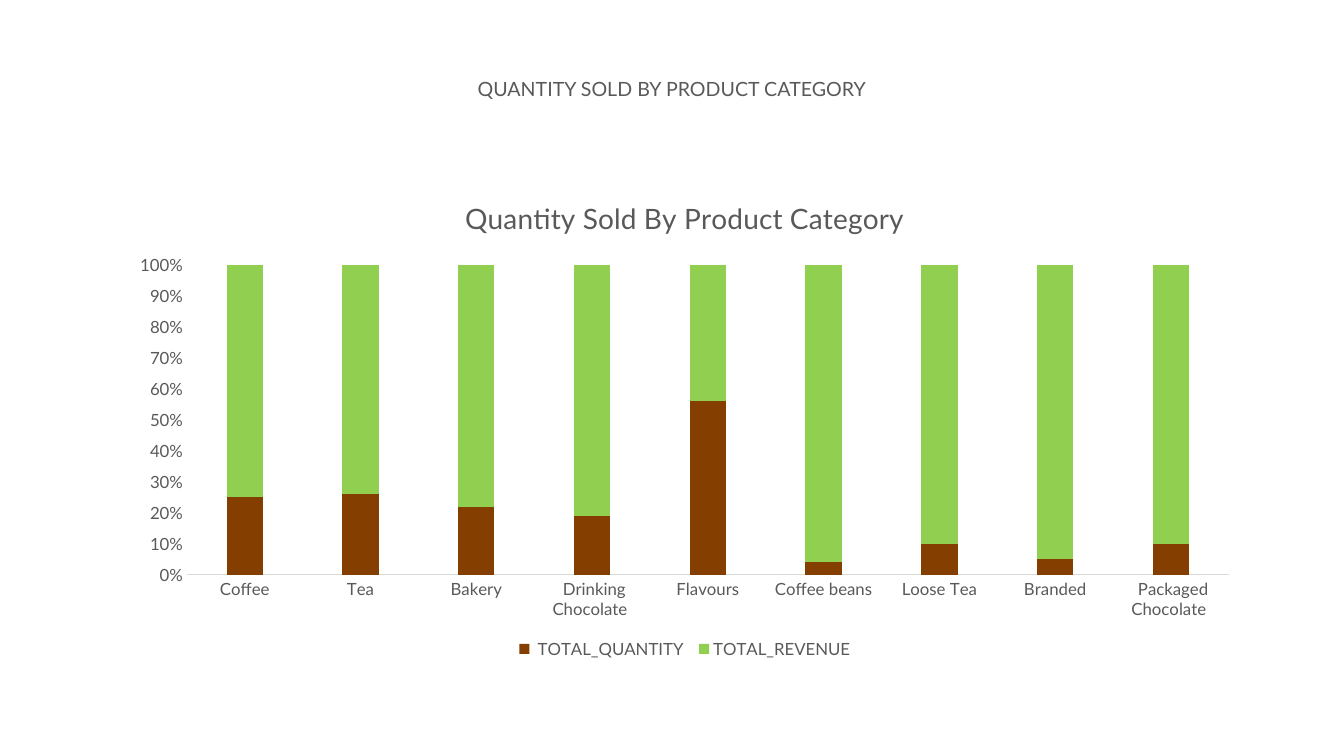
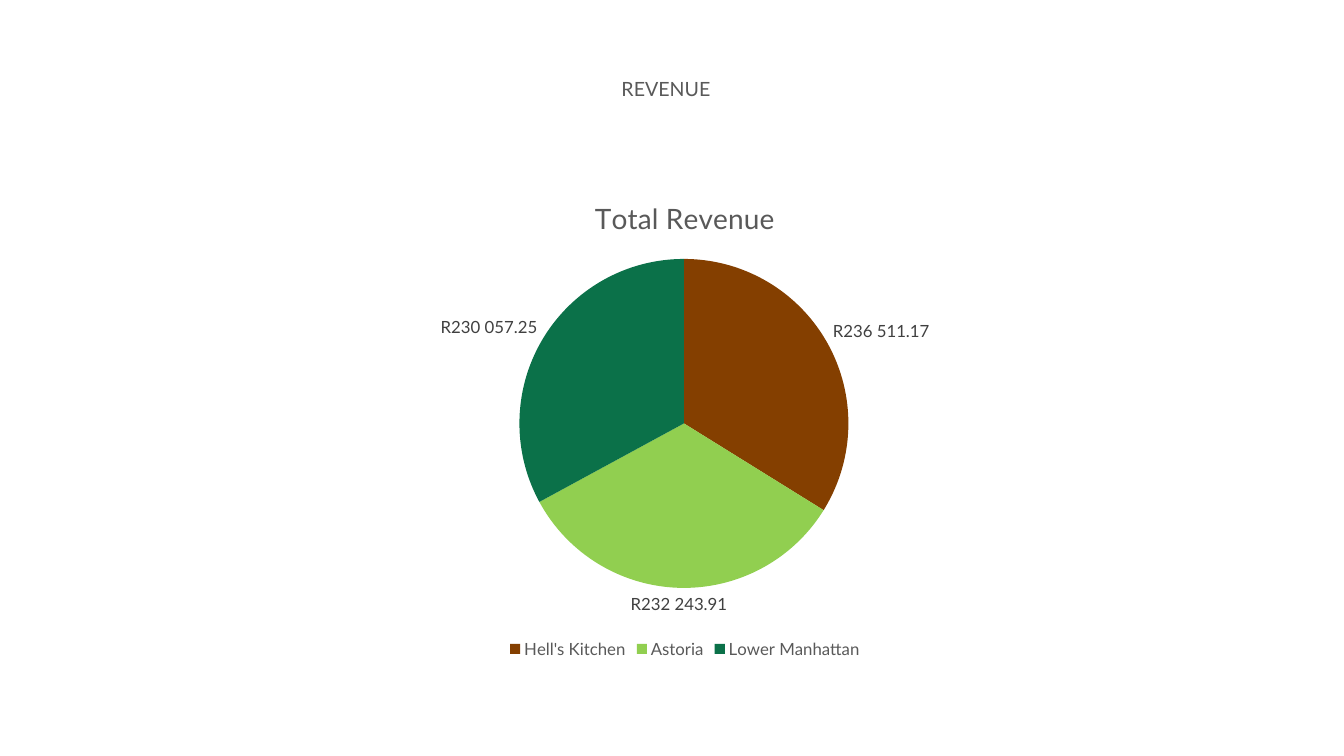
from dataclasses import dataclass

from lxml import etree
from pptx import Presentation
from pptx import util as u
from pptx.chart import data as chart_data
from pptx.dml.color import RGBColor
from pptx.enum import chart as ch
from pptx.enum import text
from pptx.oxml.ns import qn

EMU_PER_PX = 914400 / 100.8


@dataclass(frozen=True)
class Theme:
    font: str = "Lato"
    ink: str = "595959"
    label_ink: str = "404040"
    axis: str = "D9D9D9"
    series: tuple = ("843F00", "91CF50", "0B7149")
    heading_size: int = 14
    chart_title_size: int = 20
    body_size: int = 12


THEME = Theme()

# Shared frames in px: left, top, width, height
SLIDE_SIZE = (1344, 756)
HEADING_BOX = (105, 53, 1134, 71)
CHART_BOX = (118, 178, 1134, 485)
CHART_TITLE_TOP = 193


def px(length):
    return u.Emu(round(length * EMU_PER_PX))


def set_values(target, values):
    for name, value in values.items():
        setattr(target, name, value)


def style_font(font, size, color=THEME.ink):
    set_values(font, {"name": THEME.font, "size": u.Pt(size), "bold": False})
    font.color.rgb = RGBColor.from_string(color)


def fill_solid(part, color):
    part.format.fill.solid()
    part.format.fill.fore_color.rgb = RGBColor.from_string(color)


# Slide heading, moved sideways by shift px
def add_heading(slide, wording, shift):
    left, *rest = HEADING_BOX
    frame = slide.shapes.add_textbox(*map(px, (left + shift, *rest))).text_frame
    set_values(frame, {
        "word_wrap": True,
        "vertical_anchor": text.MSO_ANCHOR.MIDDLE,
        "margin_top": 0,
        "margin_bottom": 0,
    })
    heading = frame.paragraphs[0]
    heading.text = wording
    heading.alignment = text.PP_ALIGN.CENTER
    style_font(heading.font, THEME.heading_size)


# Manual position of a chart part, given in slide px
def place(parent, index, left, top, width=None, height=None):
    for old in parent.findall(qn("c:layout")):
        parent.remove(old)
    layout = etree.Element(qn("c:layout"))
    manual = etree.SubElement(layout, qn("c:manualLayout"))
    chart_left, chart_top, chart_width, chart_height = CHART_BOX
    settings = {"xMode": "edge", "yMode": "edge",
                "x": (left - chart_left) / chart_width,
                "y": (top - chart_top) / chart_height}
    if width:
        settings = {"layoutTarget": "inner", **settings,
                    "w": width / chart_width, "h": height / chart_height}
    for tag, value in settings.items():
        shown = value if isinstance(value, str) else f"{value:.4f}"
        etree.SubElement(manual, qn(f"c:{tag}")).set("val", shown)
    parent.insert(index, layout)


# Chart with title, legend and plot area in place
def add_chart(slide, kind, categories, series, title, title_left, plot_box):
    data = chart_data.CategoryChartData()
    data.categories = categories
    for name, values in series.items():
        data.add_series(name, values)
    chart = slide.shapes.add_chart(kind, *map(px, CHART_BOX), data).chart
    # A new pie holds only its first series until the data is set again
    chart.replace_data(data)
    style_font(chart.font, THEME.body_size)

    heading = chart.chart_title.text_frame.paragraphs[0].add_run()
    heading.text = title
    style_font(heading.font, THEME.chart_title_size)
    chart.chart_title.include_in_layout = False
    place(chart.chart_title.element, 1, title_left, CHART_TITLE_TOP)
    place(chart.element.find(".//" + qn("c:plotArea")), 0, *plot_box)

    chart.has_legend = True
    set_values(chart.legend, {"position": ch.XL_LEGEND_POSITION.BOTTOM,
                              "include_in_layout": False})
    style_font(chart.legend.font, THEME.body_size)
    return chart


def style_axes(chart):
    for axis in (chart.category_axis, chart.value_axis):
        set_values(axis, {
            "has_major_gridlines": False,
            "major_tick_mark": ch.XL_TICK_MARK.NONE,
            "minor_tick_mark": ch.XL_TICK_MARK.NONE,
        })
        style_font(axis.tick_labels.font, THEME.body_size)
    category_line = chart.category_axis.format.line
    category_line.width = u.Pt(0.75)
    category_line.color.rgb = RGBColor.from_string(THEME.axis)
    chart.value_axis.format.line.fill.background()
    set_values(chart.value_axis.tick_labels,
               {"number_format": "0%", "number_format_is_linked": False})


def add_quantity_chart(slide):
    products = ("Coffee", "Tea", "Bakery", "Drinking Chocolate", "Flavours",
                "Coffee beans", "Loose Tea", "Branded", "Packaged Chocolate")
    quantity_share = (25, 26, 22, 19, 56, 4, 10, 5, 10)
    chart = add_chart(
        slide, ch.XL_CHART_TYPE.COLUMN_STACKED_100,
        [f" {product} " for product in products],
        {" TOTAL_QUANTITY ": quantity_share,
         "TOTAL_REVENUE": [100 - share for share in quantity_share]},
        "Quantity Sold By Product Category", 460, (187, 265, 1042, 310))
    columns = chart.plots[0]
    set_values(columns, {"gap_width": 219, "overlap": 100,
                         "vary_by_categories": False})
    for series, color in zip(columns.series, THEME.series):
        fill_solid(series, color)
    style_axes(chart)


def add_revenue_chart(slide):
    chart = add_chart(
        slide, ch.XL_CHART_TYPE.PIE,
        ("Hell's Kitchen", "Astoria", "Lower Manhattan"),
        {"Series 1": (236511.17, 232243.91, 230057.25),
         "Series 2": (33, 33, 33)},
        "Total Revenue", 590, (519, 259, 330, 329))
    pie = chart.plots[0]
    pie.vary_by_categories = True
    for series in pie.series:
        for index, color in enumerate(THEME.series):
            fill_solid(series.points[index], color)
    labels = pie.series[0].data_labels
    set_values(labels, {
        "show_value": True,
        "position": ch.XL_LABEL_POSITION.OUTSIDE_END,
        "number_format": '"R"#\\ ##0.00',
        "number_format_is_linked": False,
    })
    style_font(labels.font, THEME.body_size, THEME.label_ink)


def main():
    deck = Presentation()
    deck.slide_width, deck.slide_height = map(px, SLIDE_SIZE)
    pages = (
        ("QUANTITY SOLD BY PRODUCT CATEGORY", 0, add_quantity_chart),
        ("REVENUE", -6, add_revenue_chart),
    )
    for heading, shift, add_content in pages:
        slide = deck.slides.add_slide(deck.slide_layouts[6])
        add_heading(slide, heading, shift)
        add_content(slide)
    deck.save("out.pptx")


if __name__ == "__main__":
    main()
